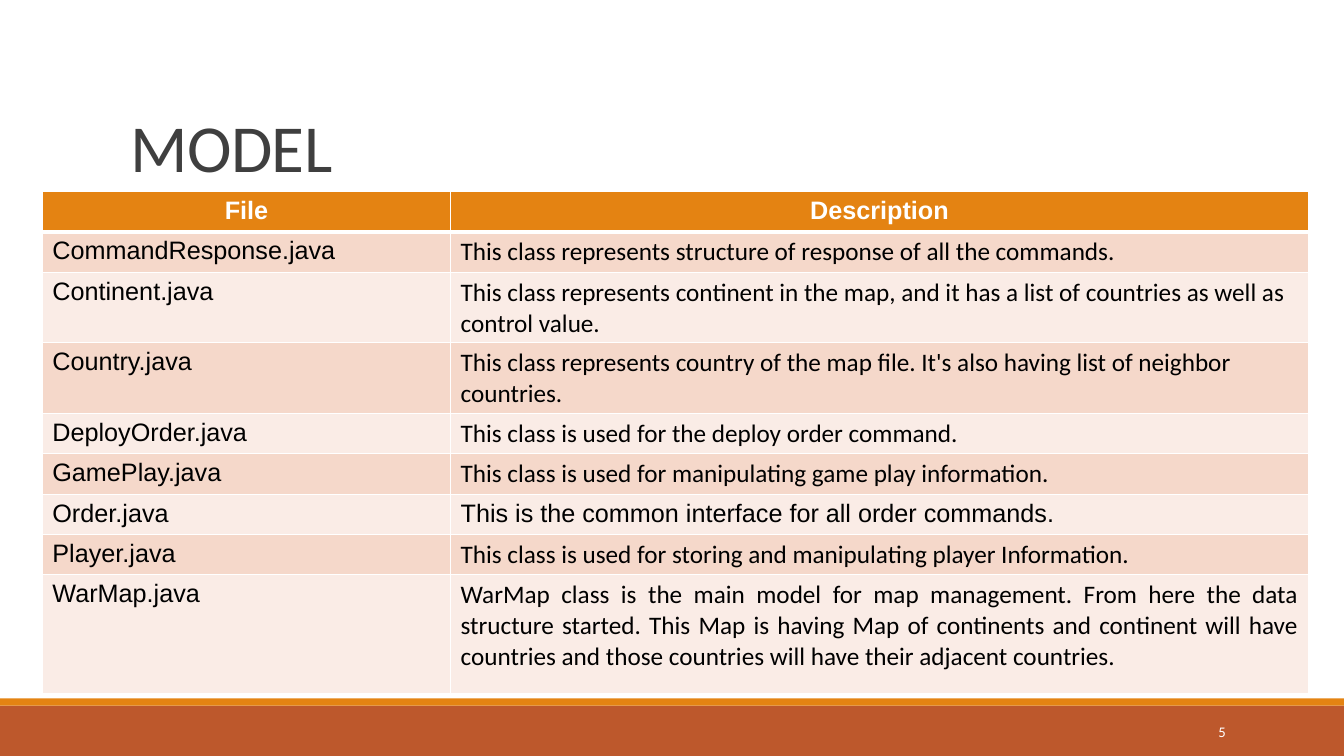
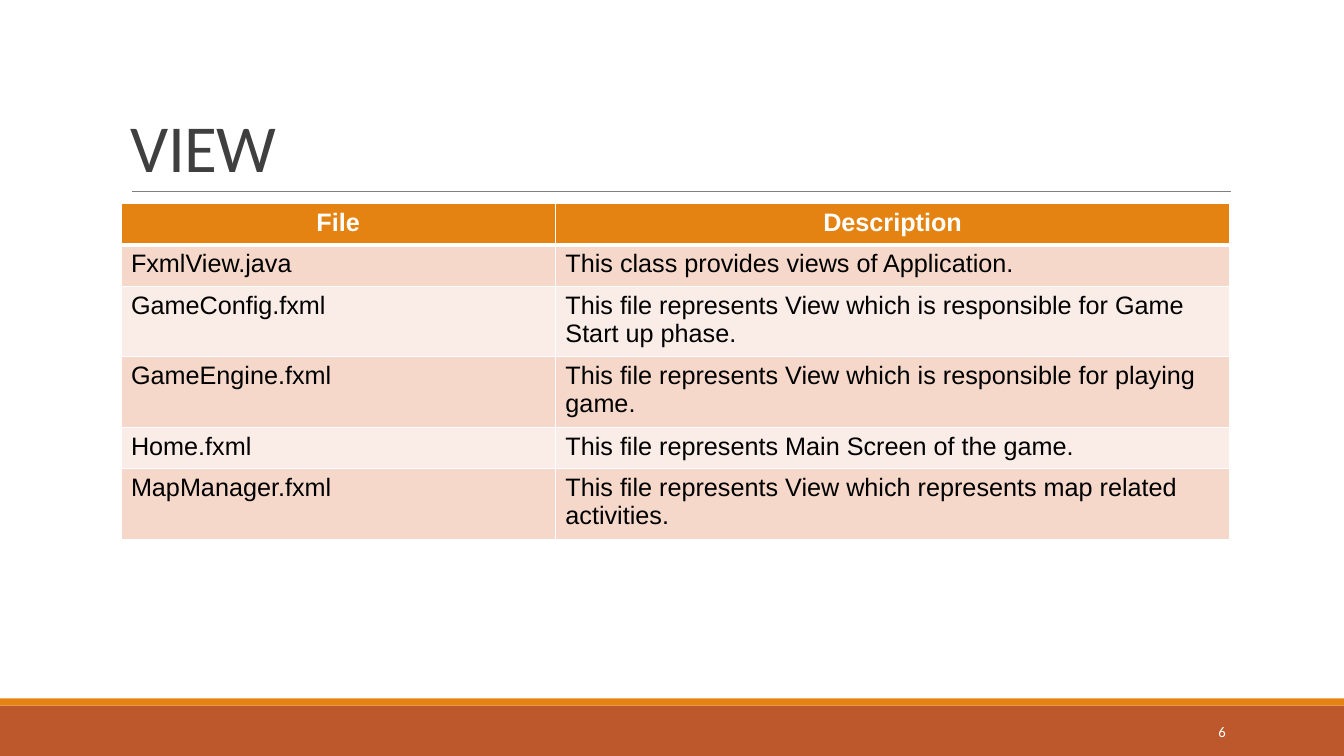
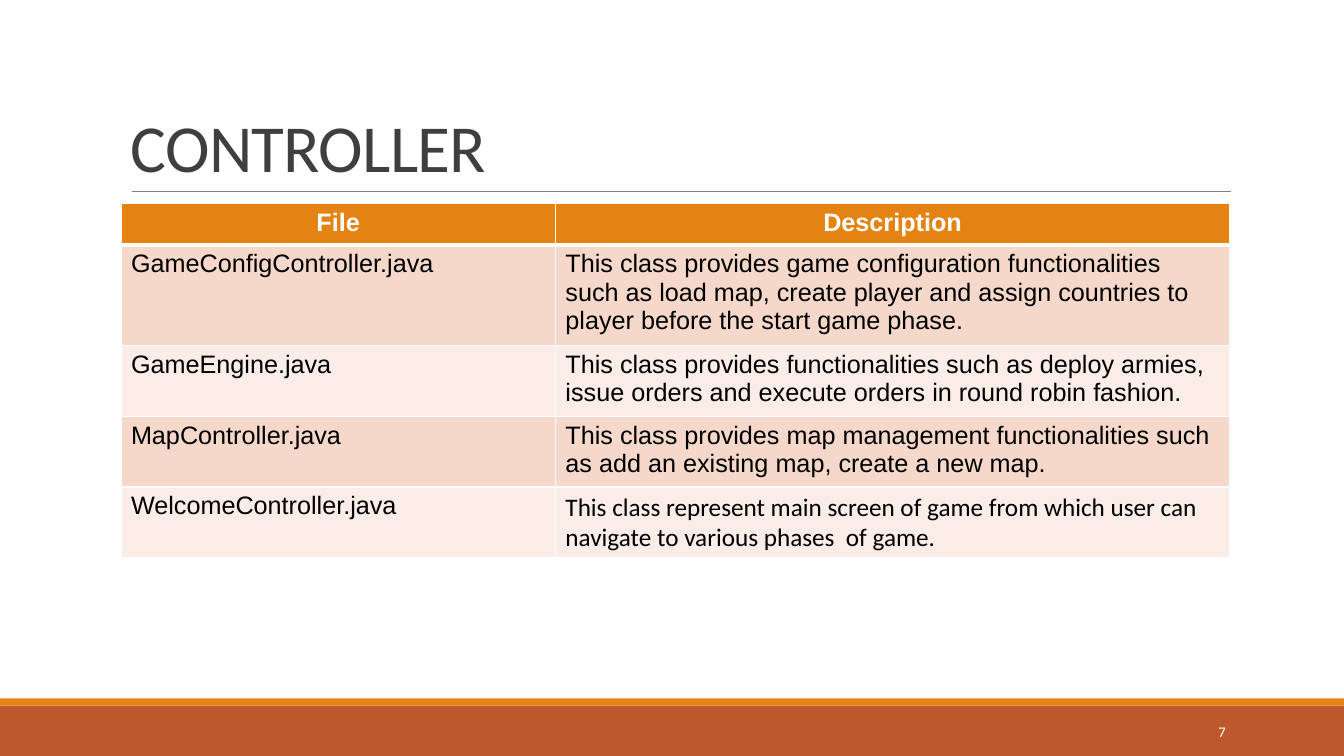
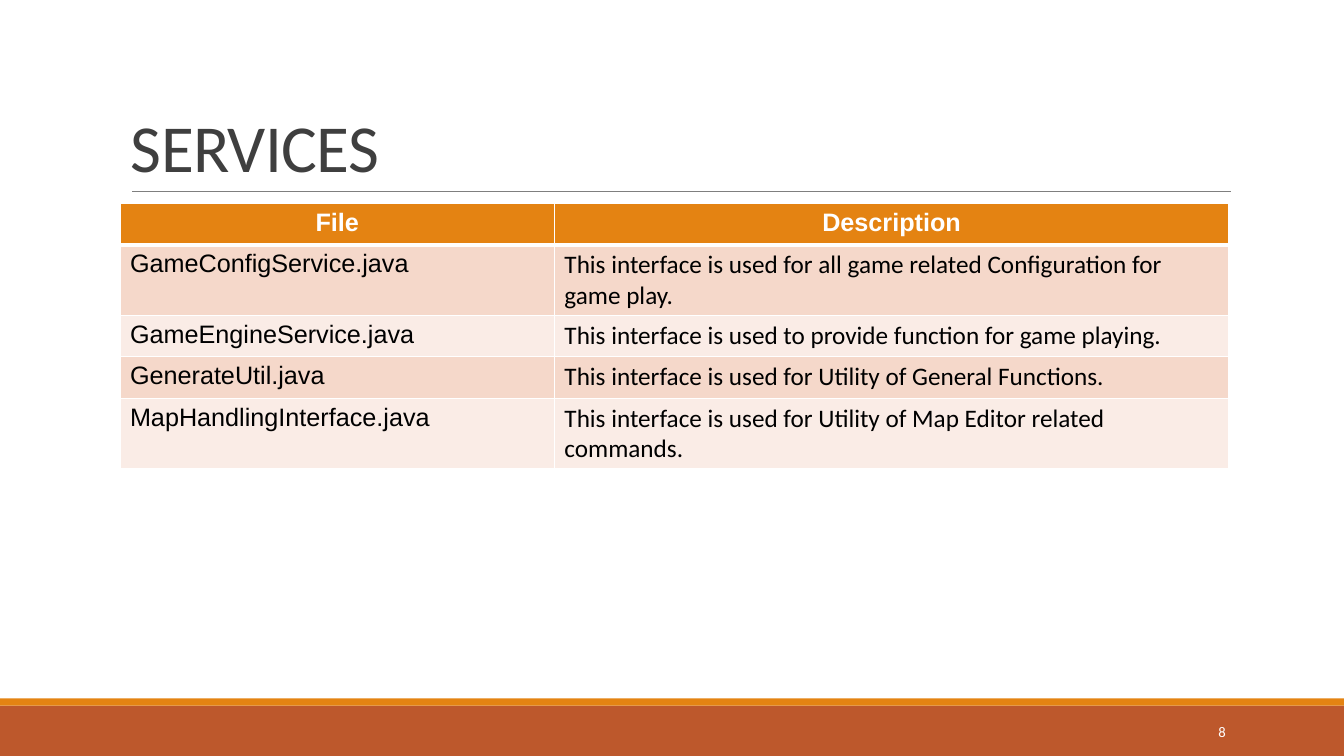
"""Build four slides that list the files of a Java game, layer by layer."""
from dataclasses import dataclass

import lxml.etree
import pptx
import pptx.dml.color
import pptx.enum.shapes
import pptx.enum.text
import pptx.oxml
import pptx.oxml.ns
import pptx.presentation
import pptx.shapes.connector
import pptx.slide
import pptx.table
import pptx.text.text
import pptx.util

Align = pptx.enum.text.PP_ALIGN
Anchor = pptx.enum.text.MSO_ANCHOR


@dataclass(frozen=True)
class Theme:
    band: str = "BD582C"
    accent: str = "E48312"
    rule: str = "7F7F7F"
    title: str = "3F3F3F"
    body: str = "000000"
    white: str = "FFFFFF"
    stripes: tuple[str, str] = ("F5D8CA", "FAECE6")
    heading_font: str = "Calibri"
    table_font: str = "Arial"
    title_size: float = 48
    table_size: float = 18
    number_size: float = 10.5
    rule_width: float = 0.75
    cell_border: float = 1
    header_border: float = 3
    title_leading: float = 0.85
    title_tracking: float = -0.5


@dataclass(frozen=True)
class Box:
    column: float
    row: float
    columns: float
    rows: float

    def lengths(self) -> tuple[int, int, int, int]:
        return grid(self.column), grid(self.row), grid(self.columns), grid(self.rows)


@dataclass(frozen=True)
class TextStyle:
    font: str
    size: float
    color: str
    align: Align = Align.LEFT
    bold: bool = False


@dataclass(frozen=True)
class FileRow:
    file: str
    description: str
    font: str = "Arial"
    align: Align = Align.LEFT
    rows: float | None = None


@dataclass(frozen=True)
class FileTable:
    title: str
    files: tuple[FileRow, ...]
    column: float = 12
    row: float = 20.2
    columns: tuple[float, float] = (43.1, 66.9)
    rows: float = 4.1


THEME = Theme()
CELLS_PER_INCH = 10
SLIDE = Box(0, 0, 133.33, 75)
BAND = Box(0, 70, SLIDE.columns, 5)
ACCENT = Box(0, 69.3, SLIDE.columns, 0.7)
RULE = Box(13.1, 19, 109, 0)
TITLE = Box(12, 3.1, 110, 15.9)
NUMBER = Box(108.3, 70.6, 14.3, 4)
FIRST_NUMBER = 5

TABLES = (
    FileTable("MODEL", (
        FileRow("CommandResponse.java",
                "This class represents structure of response of all the commands.", "Calibri"),
        FileRow("Continent.java",
                "This class represents continent in the map, and it has a list of countries "
                "as well as control value.", "Calibri"),
        FileRow("Country.java",
                "This class represents country of the map file. It's also having list of "
                "neighbor countries.", "Calibri"),
        FileRow("DeployOrder.java", "This class is used for the deploy order command.", "Calibri"),
        FileRow("GamePlay.java",
                "This class is used for manipulating game play information.", "Calibri"),
        FileRow("Order.java", "This is the common interface for all order commands."),
        FileRow("Player.java",
                "This class is used for storing and manipulating player Information.", "Calibri"),
        FileRow("WarMap.java",
                "WarMap class is the main model for map management. From here the data "
                "structure started. This Map is having Map of continents and continent will "
                "have countries and those countries will have their adjacent countries.",
                "Calibri", Align.JUSTIFY, 11.8),
    ), column=4.2, row=19, columns=(40.5, 85.1), rows=3.7),
    FileTable("VIEW", (
        FileRow("FxmlView.java", "This class provides views of Application."),
        FileRow("GameConfig.fxml",
                "This file represents View which is responsible for Game Start up phase."),
        FileRow("GameEngine.fxml",
                "This file represents View which is responsible for playing game."),
        FileRow("Home.fxml", "This file represents Main Screen of the game."),
        FileRow("MapManager.fxml",
                "This file represents View which represents map related activities."),
    )),
    FileTable("CONTROLLER", (
        FileRow("GameConfigController.java",
                "This class provides game configuration functionalities such as load map, "
                "create player and assign countries to player before the start game phase."),
        FileRow("GameEngine.java",
                "This class provides functionalities such as deploy armies, issue orders and "
                "execute orders in round robin fashion."),
        FileRow("MapController.java",
                "This class provides map management functionalities such as add an existing "
                "map, create a new map."),
        FileRow("WelcomeController.java",
                "This class represent main screen of game from which user can navigate to "
                "various phases  of game.", "Calibri"),
    )),
    FileTable("SERVICES", (
        FileRow("GameConfigService.java",
                "This interface is used for all game related Configuration for game play.",
                "Calibri"),
        FileRow("GameEngineService.java",
                "This interface is used to provide function for game playing.", "Calibri"),
        FileRow("GenerateUtil.java",
                "This interface is used for Utility of General Functions.", "Calibri"),
        FileRow("MapHandlingInterface.java",
                "This interface is used for Utility of Map Editor related commands.", "Calibri"),
    ), column=11.9),
)


def grid(cells: float) -> int:
    """Turn a count of grid cells into a length."""
    return pptx.util.Inches(cells / CELLS_PER_INCH)


def rgb(color: str) -> pptx.dml.color.RGBColor:
    """Turn a hexadecimal string into a colour."""
    return pptx.dml.color.RGBColor.from_string(color)


def write(paragraph: pptx.text.text._Paragraph, text: str, style: TextStyle) -> None:
    """Put styled text into a paragraph."""
    paragraph.text = text
    paragraph.alignment = style.align
    font = paragraph.font
    font.name = style.font
    font.size = pptx.util.Pt(style.size)
    font.bold = style.bold
    font.color.rgb = rgb(style.color)


def add_text(slide: pptx.slide.Slide, box: Box, text: str, style: TextStyle,
             anchor: Anchor) -> pptx.text.text._Paragraph:
    """Add a wrapping text box and return its paragraph."""
    frame = slide.shapes.add_textbox(*box.lengths()).text_frame
    frame.word_wrap = True
    frame.vertical_anchor = anchor
    write(frame.paragraphs[0], text, style)
    return frame.paragraphs[0]


def add_band(slide: pptx.slide.Slide, box: Box, color: str) -> None:
    """Add a plain filled rectangle."""
    shape = slide.shapes.add_shape(pptx.enum.shapes.MSO_SHAPE.RECTANGLE, *box.lengths())
    shape.shadow.inherit = False
    shape.fill.solid()
    shape.fill.fore_color.rgb = rgb(color)
    shape.line.fill.background()


def add_rule(slide: pptx.slide.Slide, box: Box) -> None:
    """Add the thin line under the title."""
    left, top, width, height = box.lengths()
    rule = slide.shapes.add_connector(
        pptx.enum.shapes.MSO_CONNECTOR.STRAIGHT, left, top, left + width, top + height)
    rule.line.color.rgb = rgb(THEME.rule)
    rule.line.width = pptx.util.Pt(THEME.rule_width)
    lxml.etree.SubElement(rule._element.spPr, pptx.oxml.ns.qn("a:effectLst"))


def add_frame(slide: pptx.slide.Slide, title: str, number: int) -> None:
    """Add the bands, rule, title and number that every slide has."""
    add_band(slide, BAND, THEME.band)
    add_band(slide, ACCENT, THEME.accent)
    add_rule(slide, RULE)
    title_style = TextStyle(THEME.heading_font, THEME.title_size, THEME.title)
    paragraph = add_text(slide, TITLE, title, title_style, Anchor.BOTTOM)
    paragraph.line_spacing = THEME.title_leading
    properties = paragraph._p.pPr.find(pptx.oxml.ns.qn("a:defRPr"))
    properties.set("spc", str(round(THEME.title_tracking * 100)))
    number_style = TextStyle(THEME.heading_font, THEME.number_size, THEME.white, Align.RIGHT)
    add_text(slide, NUMBER, str(number), number_style, Anchor.MIDDLE)


def set_borders(cell: pptx.table._Cell, top: float, bottom: float) -> None:
    """Draw white borders round a cell."""
    side = THEME.cell_border
    properties = cell._tc.get_or_add_tcPr()
    for tag, width in (("a:lnL", side), ("a:lnR", side), ("a:lnT", top), ("a:lnB", bottom)):
        line = lxml.etree.SubElement(
            properties, pptx.oxml.ns.qn(tag), w=str(pptx.util.Pt(width)))
        fill = lxml.etree.SubElement(line, pptx.oxml.ns.qn("a:solidFill"))
        lxml.etree.SubElement(fill, pptx.oxml.ns.qn("a:srgbClr"), val=THEME.white)


def fill_cell(cell: pptx.table._Cell, row: int, text: str, style: TextStyle) -> None:
    """Write a cell and give it the borders and fill of its row."""
    thin, thick = THEME.cell_border, THEME.header_border
    set_borders(cell, thick if row == 1 else thin, thick if row == 0 else thin)
    cell.fill.solid()
    cell.fill.fore_color.rgb = rgb(THEME.stripes[(row - 1) % 2] if row else THEME.accent)
    write(cell.text_frame.paragraphs[0], text, style)


def add_file_table(slide: pptx.slide.Slide, content: FileTable) -> None:
    """Add the table of files and descriptions."""
    heights = [content.rows] + [file.rows or content.rows for file in content.files]
    box = Box(content.column, content.row, sum(content.columns), sum(heights))
    table = slide.shapes.add_table(len(heights), len(content.columns), *box.lengths()).table
    for column, columns in zip(table.columns, content.columns):
        column.width = grid(columns)
    for row, rows in zip(table.rows, heights):
        row.height = grid(rows)

    header = TextStyle(THEME.table_font, THEME.table_size, THEME.white, Align.CENTER, True)
    name = TextStyle(THEME.table_font, THEME.table_size, THEME.body)
    for column, heading in enumerate(("File", "Description")):
        fill_cell(table.cell(0, column), 0, heading, header)
    for row, file in enumerate(content.files, start=1):
        description = TextStyle(file.font, THEME.table_size, THEME.body, file.align)
        fill_cell(table.cell(row, 0), row, file.file, name)
        fill_cell(table.cell(row, 1), row, file.description, description)


def main() -> None:
    """Build and save the presentation."""
    presentation = pptx.Presentation()
    presentation.slide_width = grid(SLIDE.columns)
    presentation.slide_height = grid(SLIDE.rows)
    blank = presentation.slide_layouts[6]
    for number, content in enumerate(TABLES, start=FIRST_NUMBER):
        slide = presentation.slides.add_slide(blank)
        add_frame(slide, content.title, number)
        add_file_table(slide, content)
    presentation.save("out.pptx")


if __name__ == "__main__":
    main()
